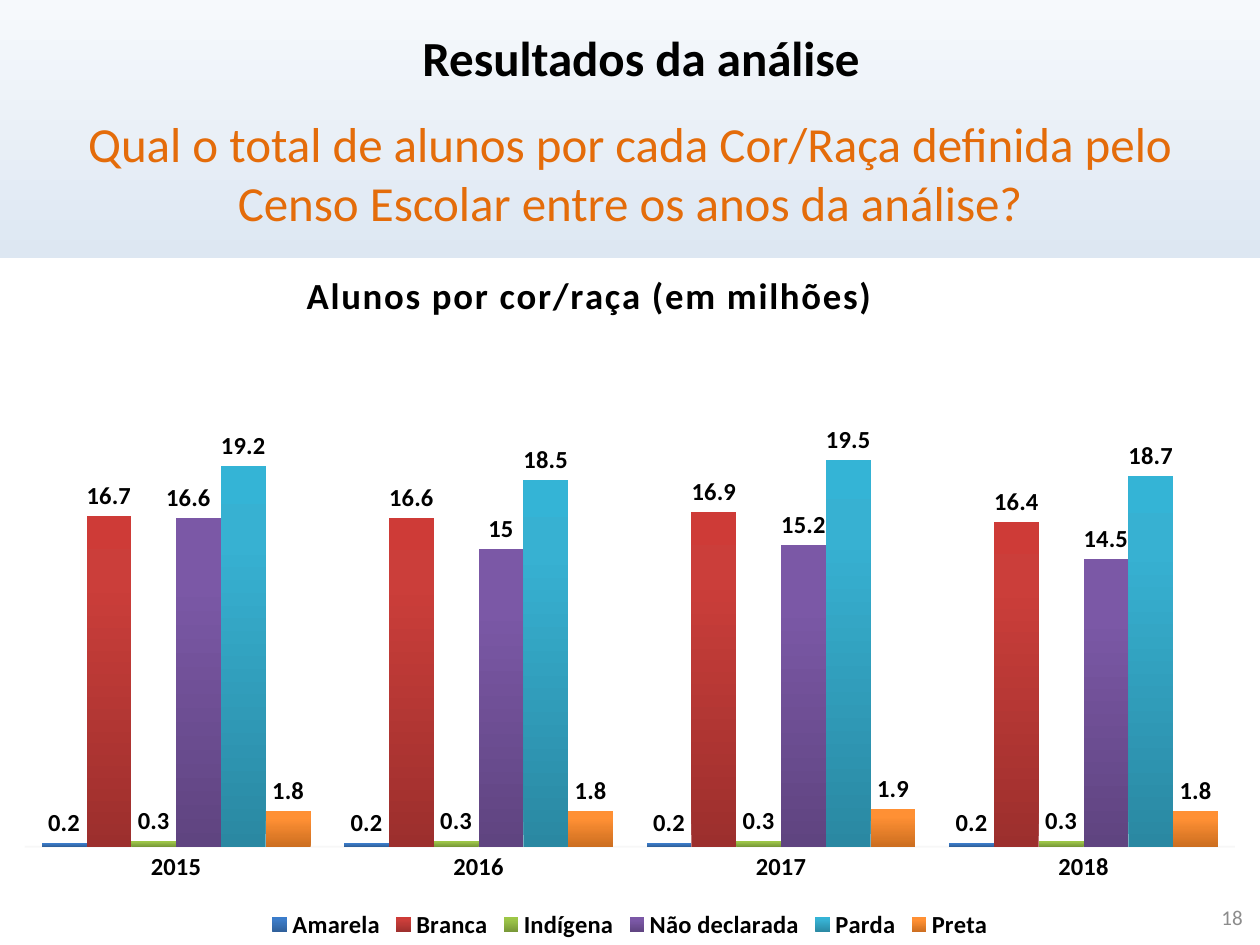
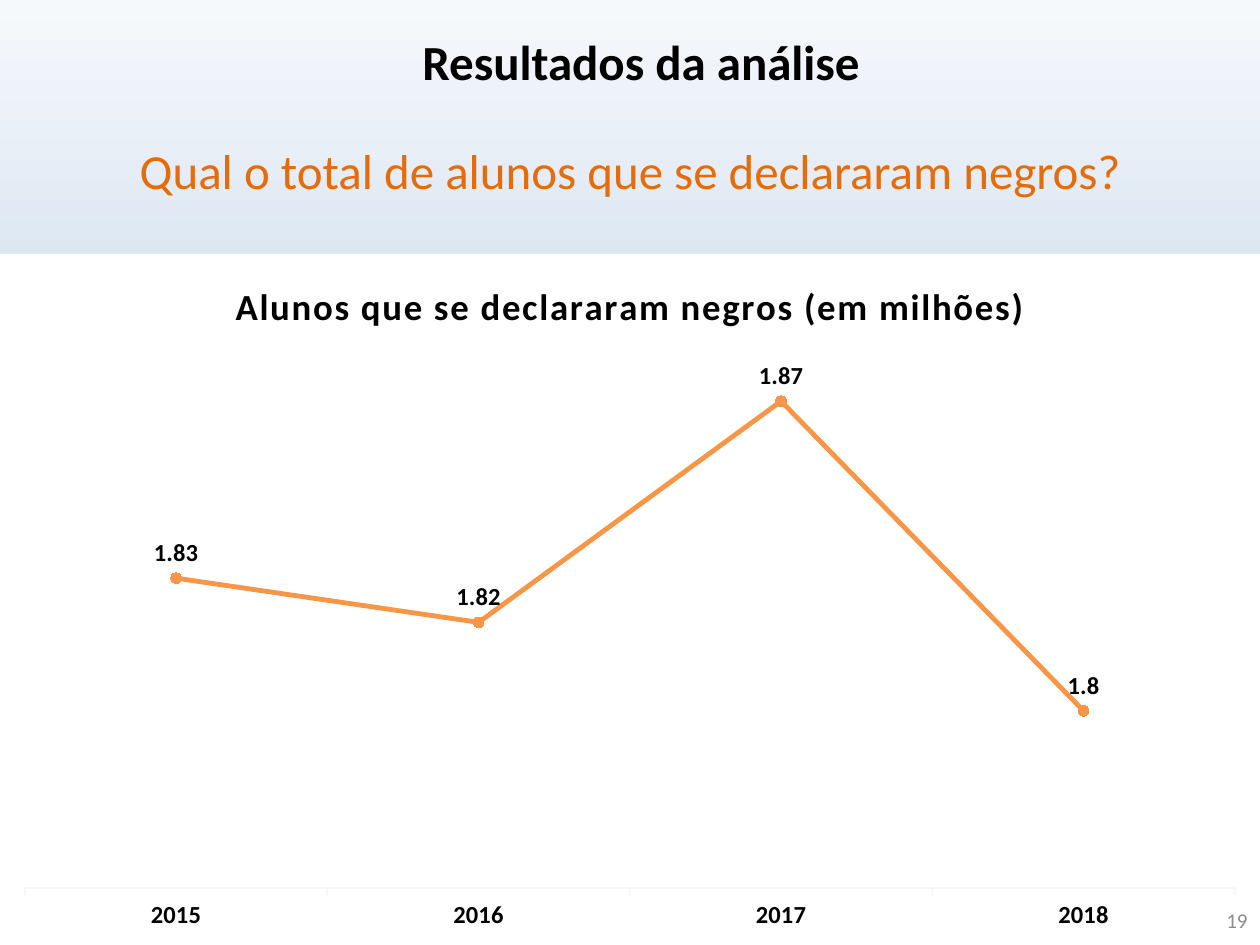
from lxml import etree
from pptx import Presentation
from pptx.chart.data import CategoryChartData
from pptx.dml.color import RGBColor
from pptx.enum.chart import (XL_CHART_TYPE, XL_LABEL_POSITION, XL_LEGEND_POSITION,
                             XL_MARKER_STYLE, XL_TICK_MARK)
from pptx.enum.text import MSO_ANCHOR, PP_ALIGN
from pptx.oxml import parse_xml
from pptx.oxml.ns import nsdecls, qn
from pptx.util import Emu, Pt

COLUMNS, LINE = XL_CHART_TYPE.COLUMN_CLUSTERED, XL_CHART_TYPE.LINE_MARKERS
CENTER, RIGHT = PP_ALIGN.CENTER, PP_ALIGN.RIGHT
TOP, MIDDLE = MSO_ANCHOR.TOP, MSO_ANCHOR.MIDDLE

# Shared look
FONT = "Calibri"
BLACK, WHITE, ORANGE, GREY = "000000", "FFFFFF", "E46C0A", "8C8C8C"
AXIS, SERIES_LINE, MARKER = "F2F2F2", "F79646", "FF9034"
BACKGROUND = [(0, "F6F9FC"), (74, "B0C6E1"), (83, "B0C6E1"), (100, "CAD9EB")]
WIDTH, HEIGHT = 1260, 945
PLOT_LEFT, PLOT_RIGHT = 25, 1235

# Content: boxes are left, top, width, height in pixels
TITLE = "Resultados da análise"
YEARS = ["2015", "2016", "2017", "2018"]
RACES = [
    ("Amarela", [0.2, 0.2, 0.2, 0.2], ("2F5F99", "3D7CC7", "3A7CCB")),
    ("Branca", [16.7, 16.6, 16.9, 16.4], ("9C2F2D", "CB3E3A", "CE3B37")),
    ("Indígena", [0.3, 0.3, 0.3, 0.3], ("779737", "9BC348", "9DC746")),
    ("Não declarada", [16.6, 15, 15.2, 14.5], ("5F4480", "7B58A6", "7C57A8")),
    ("Parda", [19.2, 18.5, 19.5, 18.7], ("2A88A2", "37B1D2", "34B4D6")),
    ("Preta", [1.8, 1.8, 1.9, 1.8], ("CC6E20", "FF9034", "FF9136")),
]
BLACK_STUDENTS = [("Series 1", [1.83, 1.82, 1.87, 1.8], None)]
SLIDES = [
    dict(title_box=(74, 16, 1134, 82),
         question="Qual o total de alunos por cada Cor/Raça definida pelo "
                  "Censo Escolar entre os anos da análise?",
         question_box=(63, 107, 1134, 170),
         number="18", number_box=(961, 892, 294, 50),
         kind=COLUMNS, series=RACES, chart_box=(0, 258, 1260, 687),
         chart_title="Alunos por cor/raça (em milhões)", title_at=(300, 263),
         plot=(351, 847), scale=(0, 25)),
    dict(title_box=(74, 6, 1134, 110),
         question="Qual o total de alunos que se declararam negros?",
         question_box=(63, 134, 1134, 72),
         number="19", number_box=(966, 895, 294, 50),
         kind=LINE, series=BLACK_STUDENTS, chart_box=(0, 254, 1260, 691),
         chart_title="Alunos que se declararam negros (em milhões)", title_at=None,
         plot=(357, 888), scale=(1.76, 1.88)),
]


def px(value):
    return Emu(round(value * 914400 / 126))


def rgb(color):
    return RGBColor.from_string(color)


def set_font(font, size, color=BLACK, bold=True):
    font.name, font.size, font.bold = FONT, Pt(size), bold
    font.color.rgb = rgb(color)


def gradient(stops, angle):
    marks = "".join(f'<a:gs pos="{position * 1000}"><a:srgbClr val="{color}"/></a:gs>'
                    for position, color in stops)
    return parse_xml(f'<a:gradFill rotWithShape="1" {nsdecls("a")}><a:gsLst>{marks}</a:gsLst>'
                     f'<a:lin ang="{angle * 60000}" scaled="0"/></a:gradFill>')


def replace_solid(properties, fill):
    properties.replace(properties.find(qn("a:solidFill")), fill)


def manual_layout(**parts):
    items = "".join(f'<c:{name} val="{value}"/>' for name, value in parts.items())
    return parse_xml(f'<c:layout {nsdecls("c")}><c:manualLayout>{items}'
                     '</c:manualLayout></c:layout>')


def fill_text(shape, text, size, color, alignment, anchor, bold=False):
    frame = shape.text_frame
    frame.text, frame.word_wrap, frame.vertical_anchor = text, True, anchor
    paragraph = frame.paragraphs[0]
    paragraph.alignment = alignment
    set_font(paragraph.runs[0].font, size, color, bold)


def add_text(slide, box, *style):
    fill_text(slide.shapes.add_textbox(*map(px, box)), *style)


def place_chart_parts(chart, content):
    """Fix the plot area, and the chart title where it is off centre."""
    left, top, width, height = content["chart_box"]
    plot_top, plot_bottom = content["plot"]
    area = chart.element.find(".//" + qn("c:plotArea"))
    for old in area.findall(qn("c:layout")):
        area.remove(old)
    area.insert(0, manual_layout(
        layoutTarget="inner", xMode="edge", yMode="edge",
        x=round((PLOT_LEFT - left) / width, 4), y=round((plot_top - top) / height, 4),
        w=round((PLOT_RIGHT - PLOT_LEFT) / width, 4),
        h=round((plot_bottom - plot_top) / height, 4)))
    if content["title_at"]:
        x, y = content["title_at"]
        title = chart.element.find(".//" + qn("c:title"))
        for old in title.findall(qn("c:layout")):
            title.remove(old)
        title.find(qn("c:tx")).addnext(manual_layout(
            xMode="edge", yMode="edge",
            x=round((x - left) / width, 4), y=round((y - top) / height, 4)))


def style_axes(chart, content):
    values, years = chart.value_axis, chart.category_axis
    values.minimum_scale, values.maximum_scale = content["scale"]
    values.has_major_gridlines = False
    values.visible = False
    years.major_tick_mark = (XL_TICK_MARK.NONE if content["kind"] == COLUMNS
                             else XL_TICK_MARK.OUTSIDE)
    years.format.line.color.rgb = rgb(AXIS)
    years.format.line.width = Pt(1)
    line_color = chart.element.find(f'.//{qn("c:catAx")}/{qn("c:spPr")}//{qn("a:srgbClr")}')
    etree.SubElement(line_color, qn("a:alpha")).set("val", "54000")
    set_font(years.tick_labels.font, 14)


def style_columns(chart, series_list):
    plot = chart.plots[0]
    plot.gap_width, plot.overlap = 75, 0
    elements = chart.element.iter(qn("c:ser"))
    for series, element, (name, _, colors) in zip(plot.series, elements, series_list):
        series.format.fill.solid()
        replace_solid(element.find(qn("c:spPr")), gradient(zip((0, 80, 100), colors), 270))
        if name == "Não declarada":
            # Shift the first label clear of the taller neighbour
            label = series.points[0].data_label
            label.position = XL_LABEL_POSITION.OUTSIDE_END
            set_font(label.font, 14)
            index = element.find(f'.//{qn("c:dLbl")}/{qn("c:idx")}')
            index.addnext(manual_layout(x=-0.008, y=0))
    chart.has_legend = True
    chart.legend.position = XL_LEGEND_POSITION.BOTTOM
    chart.legend.include_in_layout = False
    set_font(chart.legend.font, 14)


def style_line(chart):
    chart.has_legend = False
    series = chart.plots[0].series[0]
    series.smooth = False
    series.format.line.color.rgb = rgb(SERIES_LINE)
    series.format.line.width = Pt(2.75)
    marker = series.marker
    marker.style, marker.size = XL_MARKER_STYLE.CIRCLE, 6
    marker.format.fill.solid()
    marker.format.fill.fore_color.rgb = rgb(MARKER)
    marker.format.line.fill.background()


def add_chart(slide, content):
    data = CategoryChartData()
    data.categories = YEARS
    for name, values, _ in content["series"]:
        data.add_series(name, values)
    chart = slide.shapes.add_chart(content["kind"], *map(px, content["chart_box"]), data).chart
    set_font(chart.font, 10, bold=False)
    chart.element.find(qn("c:chart")).addnext(parse_xml(
        f'<c:spPr {nsdecls("c", "a")}><a:solidFill><a:srgbClr val="{WHITE}"/></a:solidFill>'
        '<a:ln><a:noFill/></a:ln></c:spPr>'))
    # Chart title with spaced letters
    chart.has_title = True
    frame = chart.chart_title.text_frame
    frame.text = content["chart_title"]
    set_font(frame.paragraphs[0].runs[0].font, 21)
    chart.element.find(f'.//{qn("c:title")}//{qn("a:rPr")}').set("spc", "100")
    chart.chart_title.include_in_layout = False
    # Data labels
    is_columns = content["kind"] == COLUMNS
    chart.plots[0].vary_by_categories = False
    for series in chart.plots[0].series:
        labels = series.data_labels
        labels.show_value = True
        labels.position = (XL_LABEL_POSITION.OUTSIDE_END if is_columns
                           else XL_LABEL_POSITION.ABOVE)
        set_font(labels.font, 14)
    style_axes(chart, content)
    if is_columns:
        style_columns(chart, content["series"])
    else:
        style_line(chart)
    place_chart_parts(chart, content)


presentation = Presentation()
presentation.slide_width, presentation.slide_height = px(WIDTH), px(HEIGHT)

# Background shared through the master
master = presentation.slide_master
master.background.fill.solid()
replace_solid(master.element.find(".//" + qn("p:bgPr")), gradient(BACKGROUND, 90))

for content in SLIDES:
    slide = presentation.slides.add_slide(presentation.slide_layouts[5])
    title = slide.shapes.title
    title.left, title.top, title.width, title.height = map(px, content["title_box"])
    fill_text(title, TITLE, 28, BLACK, CENTER, MIDDLE, True)
    add_chart(slide, content)
    add_text(slide, content["question_box"], content["question"], 28, ORANGE, CENTER, TOP)
    add_text(slide, content["number_box"], content["number"], 12, GREY, RIGHT, MIDDLE)

presentation.save("out.pptx")
